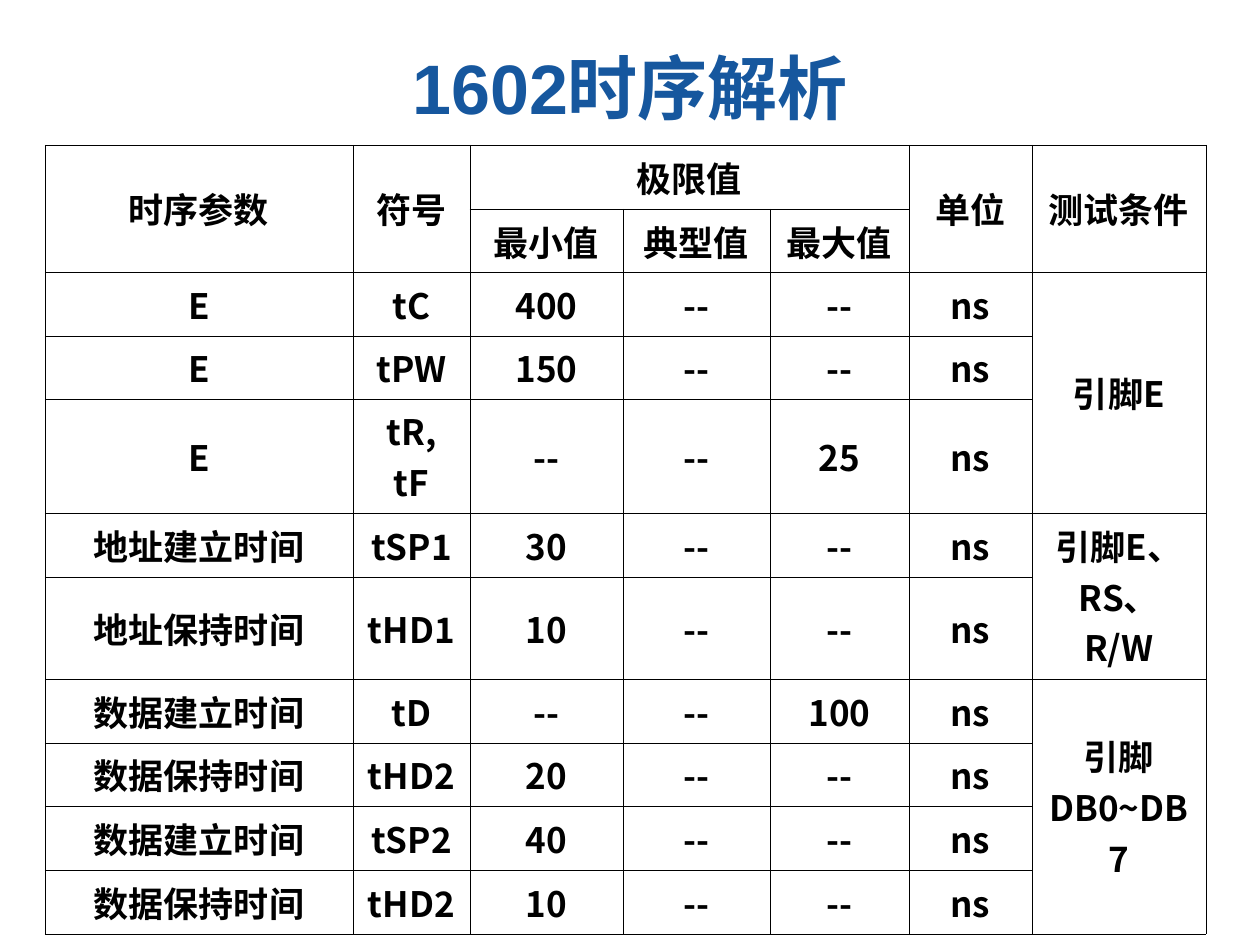
from lxml import etree
from pptx import Presentation
from pptx.dml.color import RGBColor
from pptx.enum.text import MSO_ANCHOR, PP_ALIGN
from pptx.oxml.ns import qn
from pptx.util import Emu, Pt

PX = 914400 // 126
CENTER = PP_ALIGN.CENTER
MIDDLE = MSO_ANCHOR.MIDDLE
COLORS = {"title": "16579E", "text": "000000", "border": "000000"}
LATIN_FONT = "Arial"
CHINESE_FONT = "Noto Sans CJK SC"

TITLE_BOX = (63, 38, 1134, 97)
TABLE_BOX = (45, 145, 1161, 789)
COLUMN_WIDTHS = [308, 117, 153, 147, 139, 123, 174]
ROW_HEIGHTS = [64, 63, 64, 63, 114, 64, 102, 64, 63, 64, 64]

HEADER_ROWS = [
    ["时序参数", "符号", "极限值", "", "", "单位", "测试条件"],
    ["", "", "最小值", "典型值", "最大值", "", ""],
]
TIMINGS = [
    ("E", "tC", "400", "--"),
    ("E", "tPW", "150", "--"),
    ("E", "tR, tF", "--", "25"),
    ("地址建立时间", "tSP1", "30", "--"),
    ("地址保持时间", "tHD1", "10", "--"),
    ("数据建立时间", "tD", "--", "100"),
    ("数据保持时间", "tHD2", "20", "--"),
    ("数据建立时间", "tSP2", "40", "--"),
    ("数据保持时间", "tHD2", "10", "--"),
]
CONDITIONS = {2: "引脚E", 5: "引脚E、RS、R/W", 7: "引脚DB0~DB7"}
MERGES = [
    (0, 0, 1, 0), (0, 1, 1, 1), (0, 2, 0, 4), (0, 5, 1, 5), (0, 6, 1, 6),
    (2, 6, 4, 6), (5, 6, 6, 6), (7, 6, 10, 6),
]


def to_emu(box):
    return [Emu(length * PX) for length in box]


def write_text(frame, text, size, color, font=CHINESE_FONT):
    para = frame.paragraphs[0]
    para.alignment = CENTER
    span = para.add_run()
    span.text = text
    span.font.size = Pt(size)
    span.font.bold = True
    span.font.name = font
    span.font.color.rgb = RGBColor.from_string(COLORS[color])
    east_asian = etree.Element(qn("a:ea"), typeface=CHINESE_FONT)
    span.font._element.find(qn("a:latin")).addnext(east_asian)


def add_title(page, box):
    frame = page.shapes.add_textbox(*to_emu(box)).text_frame
    frame.word_wrap = True
    frame.vertical_anchor = MIDDLE
    write_text(frame, "1602时序解析", size=40, color="title", font=LATIN_FONT)


def format_cell(cell):
    cell.vertical_anchor = MIDDLE
    properties = cell._tc.get_or_add_tcPr()
    for side in ("lnL", "lnR", "lnT", "lnB"):
        line = etree.SubElement(properties, qn(f"a:{side}"), w=str(Pt(0.23)))
        fill = etree.SubElement(line, qn("a:solidFill"))
        etree.SubElement(fill, qn("a:srgbClr"), val=COLORS["border"])
    cell.fill.background()


def build_rows():
    rows = list(HEADER_ROWS)
    for index, (name, symbol, low, high) in enumerate(TIMINGS, len(HEADER_ROWS)):
        rows.append([name, symbol, low, "--", high, "ns", CONDITIONS.get(index, "")])
    return rows


def add_timing_table(page, box):
    rows = build_rows()
    table = page.shapes.add_table(len(rows), len(COLUMN_WIDTHS), *to_emu(box)).table
    table.first_row = False
    table.horz_banding = False
    for column, width in zip(table.columns, to_emu(COLUMN_WIDTHS)):
        column.width = width
    for row, height in zip(table.rows, to_emu(ROW_HEIGHTS)):
        row.height = height
    for row_index, row in enumerate(rows):
        for column_index, text in enumerate(row):
            cell = table.cell(row_index, column_index)
            format_cell(cell)
            if text:
                write_text(cell.text_frame, text, size=20, color="text")
    for top, left, bottom, right in MERGES:
        table.cell(top, left).merge(table.cell(bottom, right))


def main():
    deck = Presentation()
    deck.slide_width, deck.slide_height = to_emu((1260, 945))
    page = deck.slides.add_slide(deck.slide_layouts[6])
    add_title(page, TITLE_BOX)
    add_timing_table(page, TABLE_BOX)
    deck.save("out.pptx")


if __name__ == "__main__":
    main()
